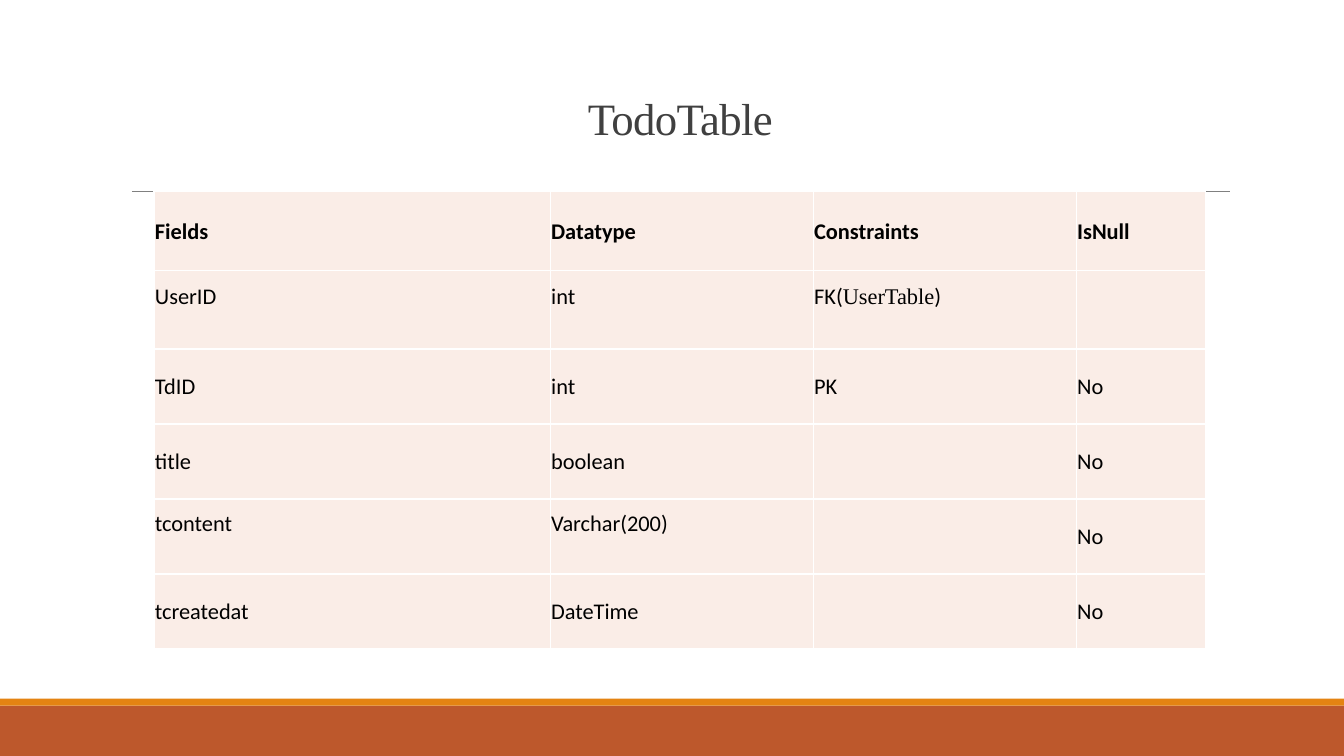
from dataclasses import dataclass

from lxml import etree
from pptx import Presentation
from pptx.dml.color import RGBColor
from pptx.enum.shapes import MSO_CONNECTOR, MSO_SHAPE
from pptx.enum.text import MSO_ANCHOR, MSO_AUTO_SIZE, PP_ALIGN
from pptx.oxml.ns import qn
from pptx.util import Pt

RECT, STRAIGHT = MSO_SHAPE.RECTANGLE, MSO_CONNECTOR.STRAIGHT
MIDDLE, BOTTOM = MSO_ANCHOR.MIDDLE, MSO_ANCHOR.BOTTOM
LEFT, CENTER = PP_ALIGN.LEFT, PP_ALIGN.CENTER
NO_AUTOFIT = MSO_AUTO_SIZE.NONE


@dataclass(frozen=True)
class Theme:
    footer: str = "BD582C"
    accent: str = "E48312"
    rule: str = "808080"
    title: str = "404040"
    text: str = "000000"
    cell: str = "FAEDE7"
    border: str = "FFFFFF"
    serif: str = "Times New Roman"
    sans: str = "Calibri"
    title_size: float = 32
    cell_size: float = 16


def rgb(value):
    return RGBColor.from_string(value)


def add_text(p, text, *, font, size, color, bold=False, align=LEFT, spacing=0):
    """Append a formatted run; spacing is letter spacing in points."""
    p.alignment = align
    r = p.add_run()
    r.text = text
    r.font.name, r.font.size, r.font.bold = font, Pt(size), bold
    r.font.color.rgb = rgb(color)
    if spacing:
        r._r.get_or_add_rPr().set("spc", str(round(spacing * 100)))


class SlideBuilder:
    def __init__(self, slide, theme):
        self.slide, self.theme = slide, theme

    def bar(self, x, y, w, h, color):
        sp = self.slide.shapes.add_shape(RECT, Pt(x), Pt(y), Pt(w), Pt(h))
        sp.shadow.inherit = False
        sp.fill.solid()
        sp.fill.fore_color.rgb = rgb(color)
        sp.line.fill.background()

    def rule(self, x1, x2, y, width):
        cxn = self.slide.shapes.add_connector(STRAIGHT, Pt(x1), Pt(y), Pt(x2), Pt(y))
        cxn.line.color.rgb = rgb(self.theme.rule)
        cxn.line.width = Pt(width)
        etree.SubElement(cxn._element.spPr, qn("a:effectLst"))

    def title(self, text, x, y, w, h, lift):
        t, sp = self.theme, self.slide.shapes.title
        sp.left, sp.top, sp.width, sp.height = Pt(x), Pt(y), Pt(w), Pt(h)
        tf = sp.text_frame
        tf.word_wrap, tf.auto_size = True, NO_AUTOFIT
        tf.vertical_anchor, tf.margin_bottom = BOTTOM, Pt(lift)
        p = tf.paragraphs[0]
        p.line_spacing = 0.85
        add_text(p, text, font=t.serif, size=t.title_size, color=t.title,
                 align=CENTER, spacing=-0.5)

    def cell(self, cell, runs, bold, lift):
        t = self.theme
        cell.vertical_anchor = MIDDLE
        cell.margin_left = cell.margin_right = cell.margin_top = Pt(0.7)
        cell.margin_bottom = Pt(lift)
        # Borders come before the fill in the cell properties
        tcPr = cell._tc.get_or_add_tcPr()
        for side in ("lnL", "lnR", "lnT", "lnB"):
            ln = etree.SubElement(tcPr, qn(f"a:{side}"), w=str(Pt(1)))
            fill = etree.SubElement(ln, qn("a:solidFill"))
            etree.SubElement(fill, qn("a:srgbClr"), val=t.border)
        cell.fill.solid()
        cell.fill.fore_color.rgb = rgb(t.cell)
        for text, font in runs:
            add_text(cell.text_frame.paragraphs[0], text, font=font,
                     size=t.cell_size, color=t.text, bold=bold)

    def table(self, rows, x, y, widths, heights, lifts):
        """lifts maps (row, column) to the bottom margin that raises its text."""
        tbl = self.slide.shapes.add_table(
            len(rows), len(widths), Pt(x), Pt(y),
            Pt(sum(widths)), Pt(sum(heights))).table
        tbl.first_row = tbl.horz_banding = False
        for col, width in zip(tbl.columns, widths):
            col.width = Pt(width)
        for i, (row, height) in enumerate(zip(rows, heights)):
            tbl.rows[i].height = Pt(height)
            for j, value in enumerate(row):
                runs = [(value, self.theme.sans)] if isinstance(value, str) else value
                runs = [run for run in runs if run[0]]
                self.cell(tbl.cell(i, j), runs, i == 0, lifts.get((i, j), 0))


def main():
    prs = Presentation()
    prs.slide_width, prs.slide_height = Pt(960), Pt(540)
    theme = Theme()
    s = SlideBuilder(prs.slides.add_slide(prs.slide_layouts[5]), theme)

    # Footer bands and title rule
    s.bar(0, 504, 960, 36, theme.footer)
    s.bar(0, 499, 960, 5, theme.accent)
    s.rule(94.3, 878.6, 136.5, 0.5)

    # Title
    s.title("TodoTable", 90, 49.7, 792, 114.5, lift=60.8)

    # Field table
    foreign_key = [("FK(", theme.sans), ("UserTable", theme.serif), (")", theme.sans)]
    rows = [
        ("Fields", "Datatype", "Constraints", "IsNull"),
        ("UserID", "int", foreign_key, ""),
        ("TdID", "int", "PK", "No"),
        ("title", "boolean", "", "No"),
        ("tcontent", "Varchar(200)", "", "No"),
        ("tcreatedat", "DateTime", "", "No"),
    ]
    raised = [(1, 0), (1, 1), (1, 2), (4, 0), (4, 1)]
    s.table(rows, 110, 136.9, widths=[283, 187.9, 187.9, 92.5],
            heights=[56.2] * 2 + [53.6] * 4, lifts=dict.fromkeys(raised, 19.5))

    prs.save("out.pptx")


if __name__ == "__main__":
    main()
